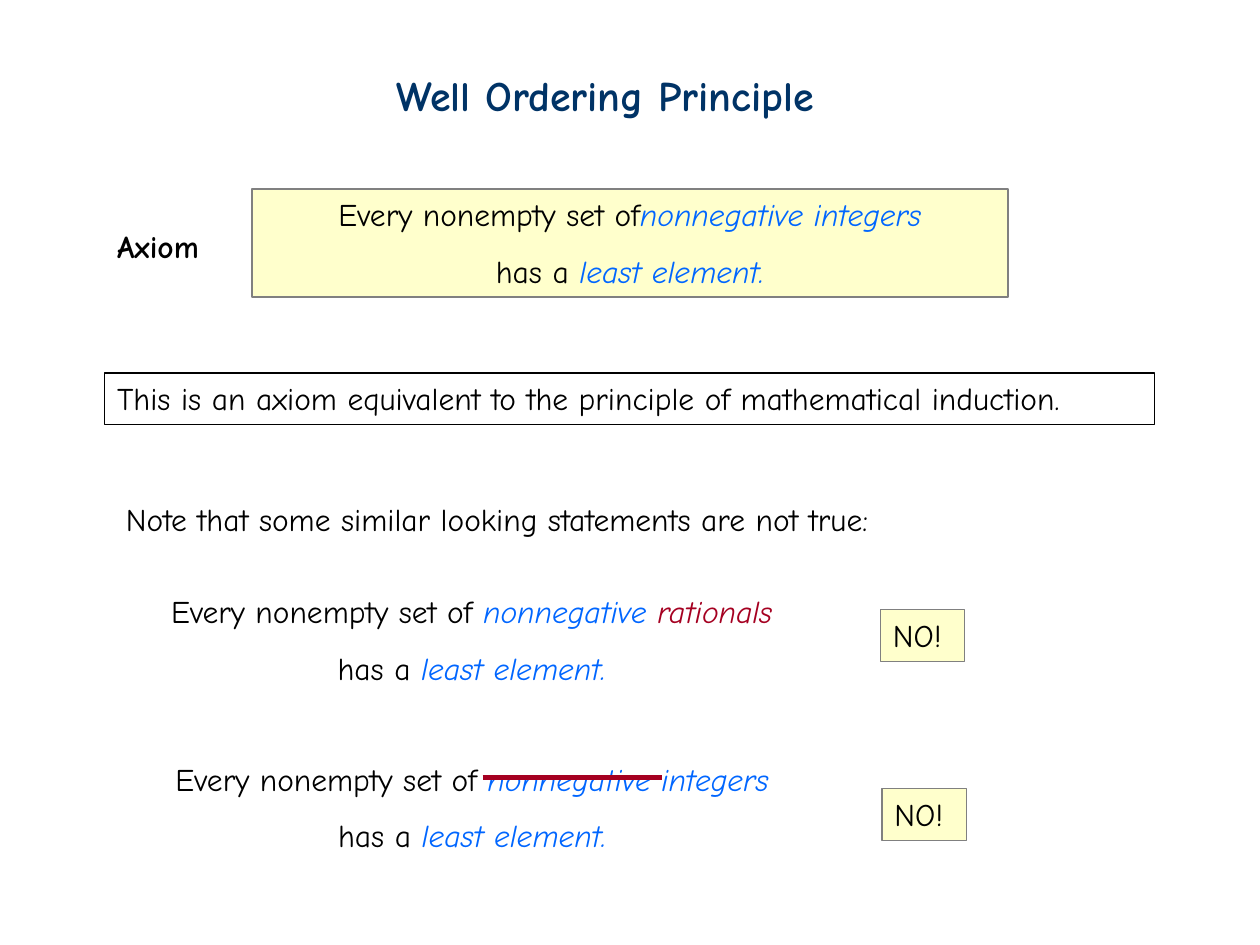
"""Build the Well Ordering Principle slide."""
from lxml.etree import SubElement
from pptx import Presentation
from pptx.dml.color import RGBColor as RGB
from pptx.enum.shapes import MSO_CONNECTOR as CONN, MSO_SHAPE as SHAPE
from pptx.enum.text import MSO_ANCHOR as ANCHOR, MSO_AUTO_SIZE as AUTO, PP_ALIGN as ALIGN
from pptx.oxml.ns import qn
from pptx.util import Cm, Pt

FONT = "Comic Neue"
COLORS = {"black": "000000", "navy": "003366", "blue": "0066FF",
          "red": "A50021", "cream": "FFFFCC", "gray": "808080"}

SUBJECT = "Every nonempty set of"
LEAST = [("has a ", "black"), ("least element.", "blue")]
CREAM_BOX = {"fill": "cream", "line": "gray"}

TEXTS = [
    ((5.08, 3.81, 15.24, 2.18),
     [[(SUBJECT, "black"), ("nonnegative integers", "blue")], LEAST],
     {"align": ALIGN.CENTER, **CREAM_BOX}),
    ((7.75, 1.27, 10.03, 1.27), [[("Well Ordering Principle", "navy")]],
     {"size": 24, "bold": True}),
    ((2.31, 11.81, 14.4, 2.16),
     [[(SUBJECT + " ", "black"), ("nonnegative ", "blue"), ("rationals", "red")], LEAST],
     {"align": ALIGN.CENTER}),
    ((17.75, 12.29, 1.7, 1.04), [[("NO!", "black")]], CREAM_BOX),
    ((1.9, 15.19, 15.24, 2.16),
     [[(SUBJECT + " ", "black"), ("nonnegative integers", "blue")], LEAST],
     {"align": ALIGN.CENTER}),
    ((17.78, 15.9, 1.7, 1.04), [[("NO!", "black")]], CREAM_BOX),
    ((2.11, 4.45, 2.36, 1.02), [[("Axiom", "black")]], {"bold": True}),
    ((2.11, 7.52, 21.16, 1.04),
     [[("This is an axiom equivalent to the principle of mathematical induction.", "black")]],
     {"line": "black"}),
    ((2.29, 9.96, 17.07, 1.02),
     [[("Note that some similar looking statements are not true:", "black")]], {}),
]
STRIKE = (9.73, 15.67, 13.34, 15.67)


def color(name):
    return RGB.from_string(COLORS[name])


def add_text(slide, place, paragraphs, size=18, bold=False, align=ALIGN.LEFT,
             fill=None, line=None):
    place = [Cm(v) for v in place]
    if line:
        sp = slide.shapes.add_shape(SHAPE.RECTANGLE, *place)
        sp.shadow.inherit = False
        sp.line.color.rgb = color(line)
        sp.line.width = Pt(0.75)
        if fill:
            sp.fill.solid()
            sp.fill.fore_color.rgb = color(fill)
        else:
            sp.fill.background()
    else:
        sp = slide.shapes.add_textbox(*place)
    tf = sp.text_frame
    tf.word_wrap = True
    tf.auto_size = AUTO.SHAPE_TO_FIT_TEXT
    tf.vertical_anchor = ANCHOR.TOP
    for i, runs in enumerate(paragraphs):
        p = tf.add_paragraph() if i else tf.paragraphs[0]
        p.alignment = align
        if i:
            p.line_spacing = 1.5
        for text, name in runs:
            r = p.add_run()
            r.text = text
            r.font.name = FONT
            r.font.size = Pt(size)
            r.font.bold = bold
            r.font.italic = name in ("blue", "red")
            r.font.color.rgb = color(name)


def add_strike(slide, ends):
    cxn = slide.shapes.add_connector(CONN.STRAIGHT, *[Cm(v) for v in ends])
    cxn.line.color.rgb = color("red")
    cxn.line.width = Pt(3)
    SubElement(cxn._element.spPr, qn("a:effectLst"))


def main():
    prs = Presentation()
    prs.slide_width, prs.slide_height = Cm(25.4), Cm(19.05)
    slide = prs.slides.add_slide(prs.slide_layouts[6])
    for place, paragraphs, style in TEXTS:
        add_text(slide, place, paragraphs, **style)
    add_strike(slide, STRIKE)
    prs.save("out.pptx")


if __name__ == "__main__":
    main()
